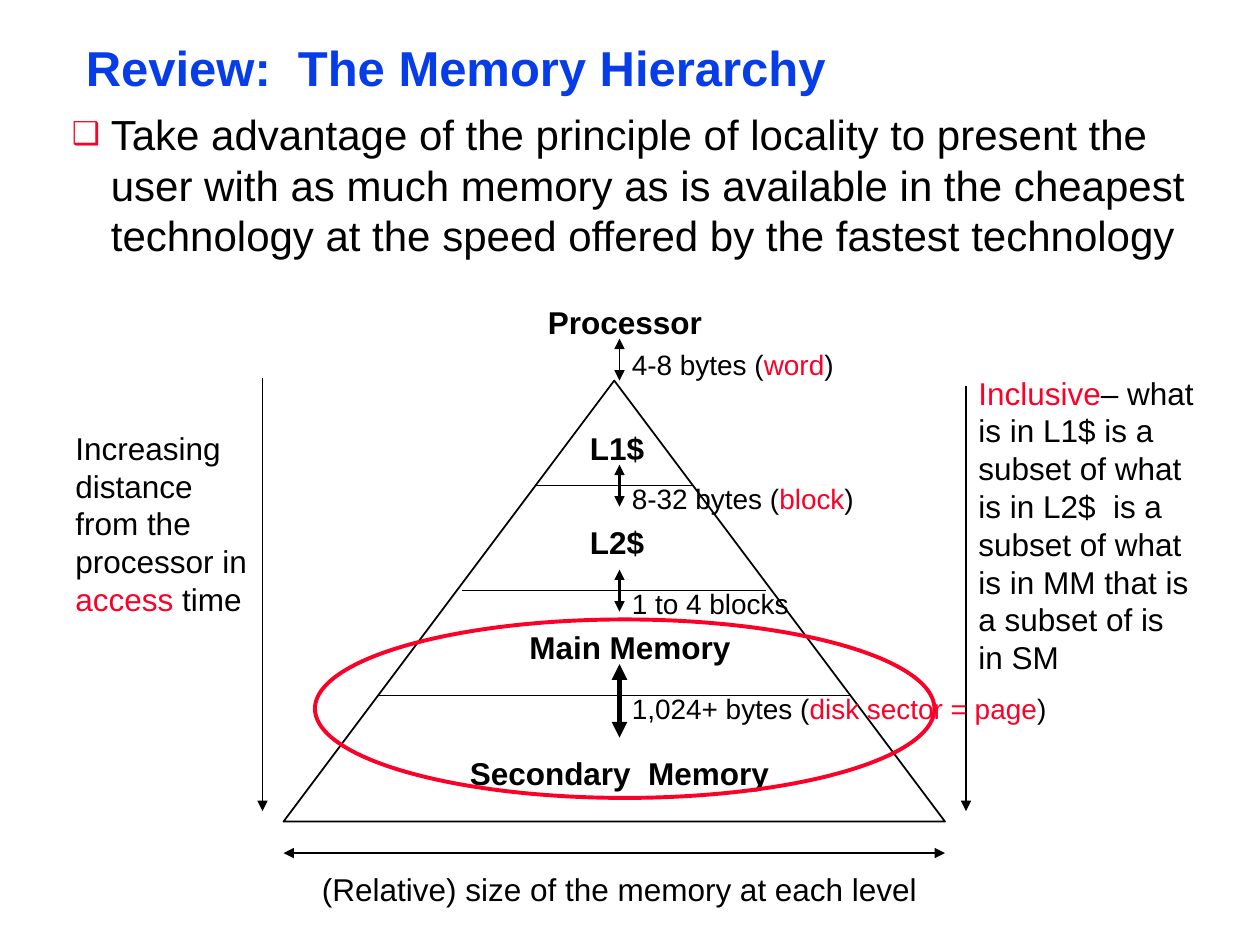
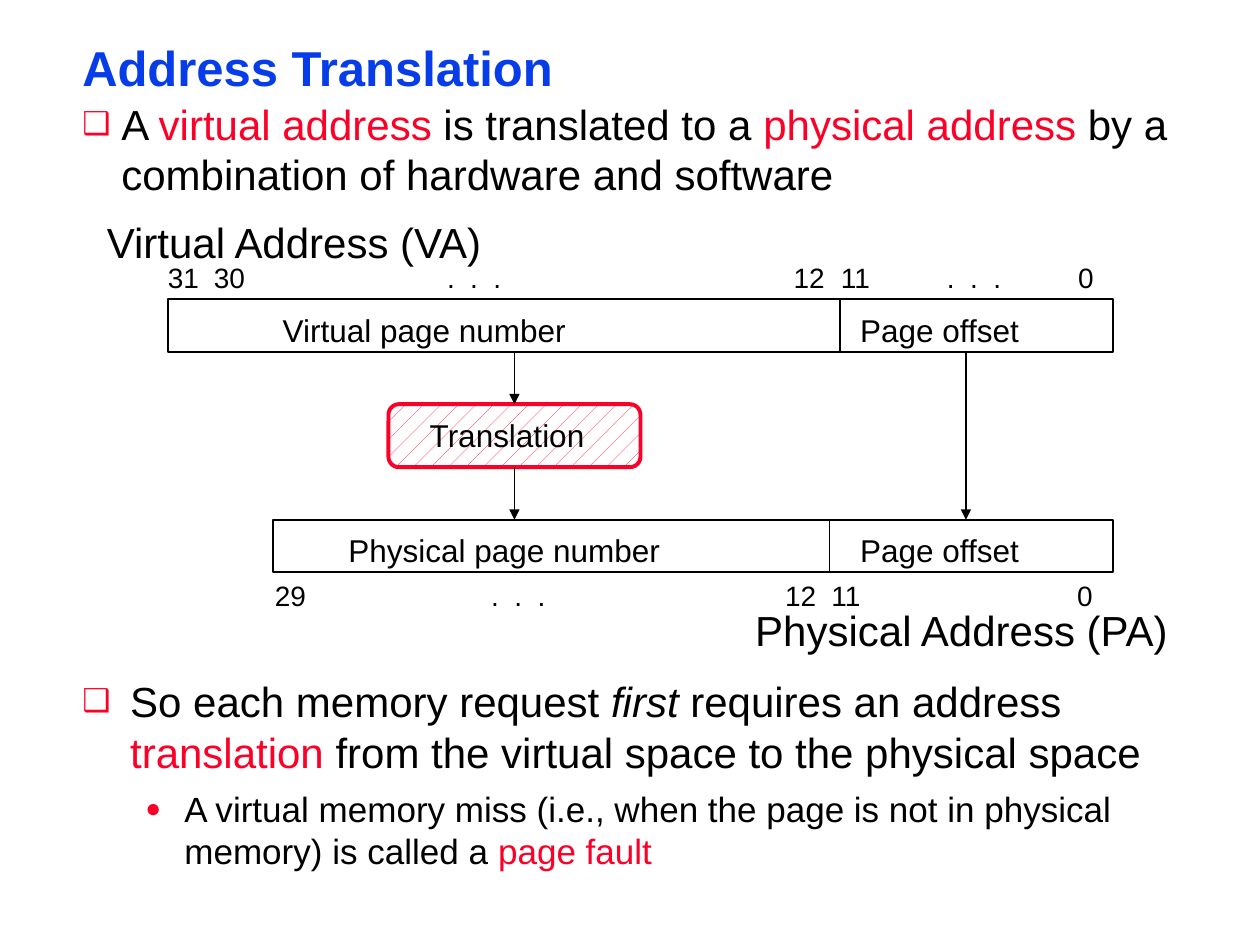
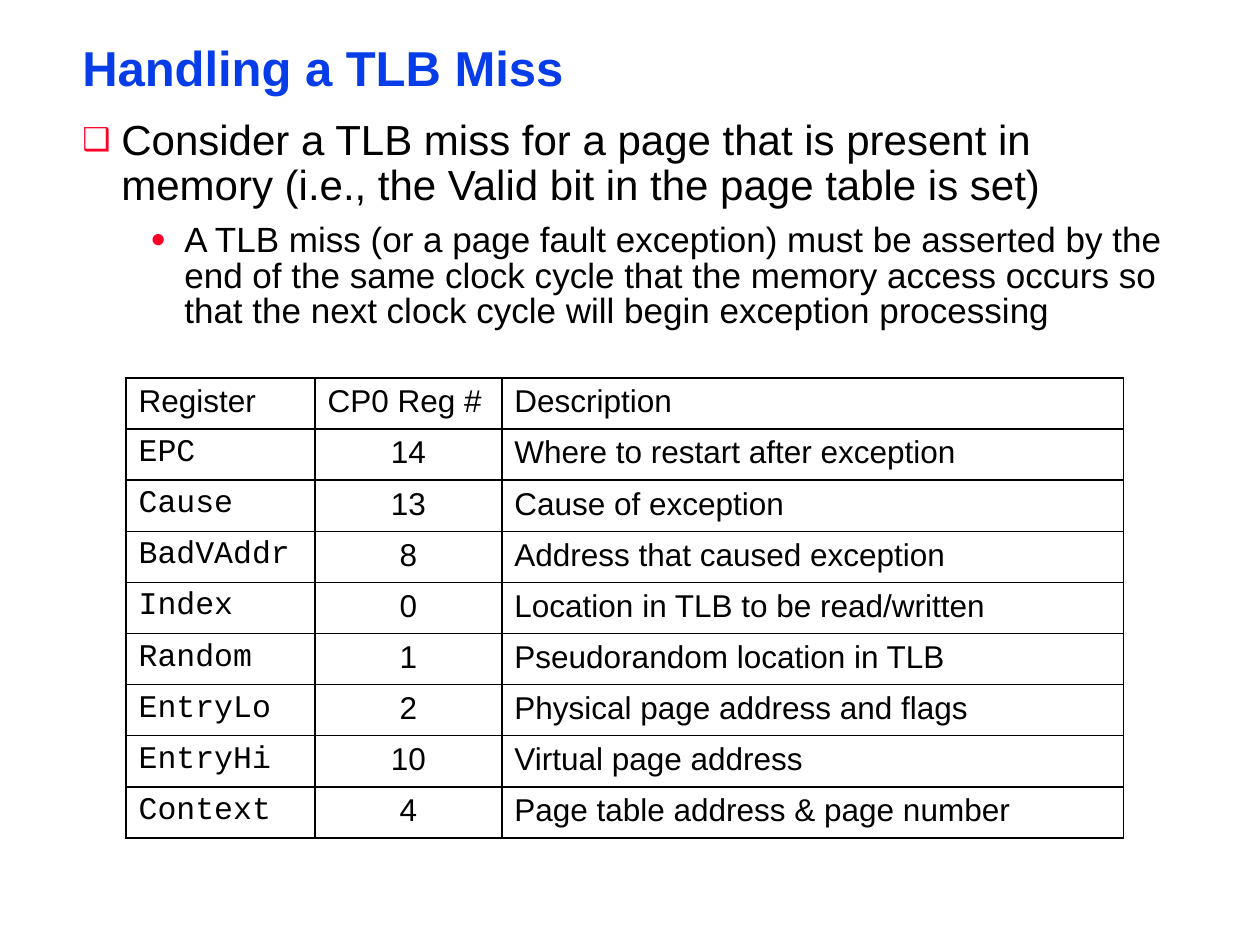
from dataclasses import dataclass
from typing import NamedTuple

from lxml import etree
from pptx import Presentation
from pptx import util as u
from pptx.dml import color
from pptx.enum import dml, shapes, text
from pptx.oxml import ns

# Grid: 120 columns by 90 rows over the slide
WIDTH, HEIGHT = u.Inches(10), u.Inches(7.5)
COLUMNS, ROWS = 120, 90


@dataclass(frozen=True)
class Theme:
    ink: str = "000000"
    paper: str = "FFFFFF"
    accent: str = "FC0128"
    heading: str = "063DE8"
    sans: str = "Arial"
    mono: str = "Courier New"
    title: int = 28
    body: int = 24
    detail: int = 20
    label: int = 18
    small: int = 16
    thin: float = 1
    medium: float = 1.5
    outline: float = 2.25
    thick: float = 3


THEME = Theme()
WIDE_INSET = (0.1, 0.05)
NARROW_INSET = (0.07, 0.03)


class Box(NamedTuple):
    left: float
    top: float
    width: float
    height: float


class Run(NamedTuple):
    text: str
    accent: bool = False
    italic: bool = False


class Bullet(NamedTuple):
    symbol: str
    size: int
    margin: float
    hanging: float


class Label(NamedTuple):
    content: str | list
    box: Box
    size: int = THEME.label
    bold: bool = False
    centred: bool = False


class Arrow(NamedTuple):
    start: tuple
    end: tuple
    width: float = THEME.thin
    head: bool = False
    tail: bool = True


class Bit(NamedTuple):
    column: float
    text: str


@dataclass(frozen=True)
class AddressBar:
    box: Box
    divider: float
    page_label: Label
    name: Label
    bits: list
    bits_row: float


SQUARE = Bullet("❑", THEME.body, 0.31, 0.31)
WIDE_SQUARE = SQUARE._replace(margin=0.38, hanging=0.38)
DOT = Bullet("●", THEME.detail, 0.81, 0.31)
TIGHT_DOT = DOT._replace(hanging=0.27)


# Shared drawing functions
def across(columns: float) -> int:
    return round(WIDTH * columns / COLUMNS)


def down(rows: float) -> int:
    return round(HEIGHT * rows / ROWS)


def place(box: Box) -> tuple:
    return across(box.left), down(box.top), across(box.width), down(box.height)


def rgb(value: str) -> color.RGBColor:
    return color.RGBColor.from_string(value)


def accent(words: str) -> Run:
    return Run(words, accent=True)


def add_element(parent, tag: str, **attributes):
    return etree.SubElement(parent, ns.qn(tag), {key: str(value) for key, value in attributes.items()})


def write(paragraph, content, *, size, font=THEME.sans, ink=THEME.ink, bold=False,
          centred=False, bullet=None, tabs=(), line_spacing=None, space_before=0):
    """Write one paragraph; content is a string or a list of strings and runs."""
    properties = paragraph._p.get_or_add_pPr()
    if bullet:
        properties.set("marL", str(u.Inches(bullet.margin)))
        properties.set("indent", str(-u.Inches(bullet.hanging)))
        add_element(add_element(properties, "a:buClr"), "a:srgbClr", val=THEME.accent)
        add_element(properties, "a:buSzPct", val=75000)
        add_element(properties, "a:buFont", typeface=THEME.sans)
        add_element(properties, "a:buChar", char=bullet.symbol)
    if tabs:
        tab_list = add_element(properties, "a:tabLst")
        for position in tabs:
            add_element(tab_list, "a:tab", pos=position, algn="l")
    paragraph.alignment = text.PP_ALIGN.CENTER if centred else text.PP_ALIGN.LEFT
    if line_spacing:
        paragraph.line_spacing = line_spacing
    if space_before:
        paragraph.space_before = u.Pt(space_before)
    for piece in [content] if isinstance(content, str) else content:
        part = Run(piece) if isinstance(piece, str) else piece
        run = paragraph.add_run()
        run.text = part.text
        run.font.name, run.font.size = font, u.Pt(size)
        run.font.bold, run.font.italic = bold, part.italic
        run.font.color.rgb = rgb(THEME.accent if part.accent else ink)


def add_frame(slide, box: Box, inset=WIDE_INSET):
    frame = slide.shapes.add_textbox(*place(box)).text_frame
    frame.word_wrap = True
    frame.margin_left = frame.margin_right = u.Inches(inset[0])
    frame.margin_top = frame.margin_bottom = u.Inches(inset[1])
    return frame


def add_title(slide, words: str, inset=NARROW_INSET) -> None:
    frame = add_frame(slide, Box(7, 4, 107, 5.5), inset)
    frame.vertical_anchor = text.MSO_ANCHOR.MIDDLE
    write(frame.paragraphs[0], words, size=THEME.title, ink=THEME.heading, bold=True, line_spacing=0.87)


def add_bullets(slide, box: Box, *items) -> None:
    """Each item is content, bullet, line spacing and space before."""
    frame = add_frame(slide, box, NARROW_INSET)
    for index, (content, bullet, spacing, before) in enumerate(items):
        paragraph = frame.add_paragraph() if index else frame.paragraphs[0]
        write(paragraph, content, size=bullet.size, bullet=bullet, line_spacing=spacing, space_before=before)


def add_label(slide, label: Label) -> None:
    frame = add_frame(slide, label.box)
    write(frame.paragraphs[0], label.content, size=label.size, bold=label.bold, centred=label.centred)


def add_outline(slide, kind, box: Box, ink=THEME.ink, width=THEME.thin):
    shape = slide.shapes.add_shape(kind, *place(box))
    shape.shadow.inherit = False
    shape.fill.background()
    shape.line.color.rgb, shape.line.width = rgb(ink), u.Pt(width)
    return shape


def add_line(slide, arrow: Arrow) -> None:
    (left, top), (right, bottom) = arrow.start, arrow.end
    connector = slide.shapes.add_connector(
        shapes.MSO_CONNECTOR.STRAIGHT, across(left), down(top), across(right), down(bottom))
    connector.line.color.rgb, connector.line.width = rgb(THEME.ink), u.Pt(arrow.width)
    line = connector.line._get_or_add_ln()
    for tag, shown in (("a:headEnd", arrow.head), ("a:tailEnd", arrow.tail)):
        if shown:
            add_element(line, tag, type="triangle", w="med", len="med")
    add_element(connector._element.spPr, "a:effectLst")


# Slide 1: memory pyramid
def add_level(words: str, left: float, top: float, width: float, centred=True) -> Label:
    return Label(words, Box(left, top, width, 4.75), bold=True, centred=centred)


def add_transfer(content, top: float, width: float) -> Label:
    return Label(content, Box(59, top, width, 4.5), THEME.small)


def build_hierarchy(slide) -> None:
    add_title(slide, "Review:  The Memory Hierarchy", WIDE_INSET)
    add_bullets(slide, Box(6, 10, 110, 15), (
        "Take advantage of the principle of locality to present the user with as much memory as is "
        "available in the cheapest technology at the speed offered by the fastest technology",
        SQUARE, None, 0))

    add_outline(slide, shapes.MSO_SHAPE.ISOSCELES_TRIANGLE, Box(27, 36.25, 63, 42))
    for row, left, right in ((46.25, 51, 66), (56.25, 44, 73), (66.25, 36, 81)):
        add_line(slide, Arrow((left, row), (right, row), tail=False))

    # Axes, then transfers between levels
    axes = [
        Arrow((25, 36), (25, 77.25)),
        Arrow((92, 36.75), (92, 77.25)),
        Arrow((27, 81.25), (90, 81.25), head=True),
    ]
    transfers = [
        Arrow((59, top), (59, top + length), width, head=True)
        for top, length, width in (
            (32.25, 4, THEME.thin), (44.25, 4, THEME.medium),
            (54.25, 4, THEME.medium), (63.25, 7, THEME.thick))
    ]
    for arrow in axes + transfers:
        add_line(slide, arrow)

    labels = [
        add_level("Processor", 51, 28.25, 18, centred=False),
        add_level("L1$", 55, 40.25, 11, centred=False),
        add_level("L2$", 55, 49.25, 11, centred=False),
        add_level("Main Memory", 44, 59.25, 32),
        add_level("Secondary  Memory", 39, 71.25, 40),
        add_transfer(["4-8 bytes (", accent("word"), ")"], 32.5, 22.5),
        add_transfer(["8-32 bytes (", accent("block"), ")"], 45.25, 24),
        add_transfer("1 to 4 blocks", 55.25, 21),
        add_transfer(["1,024+ bytes (", accent("disk sector = page"), ")"], 65.25, 43),
        Label(["Increasing distance from the processor in ", accent("access"), " time"],
              Box(6, 40.25, 19, 19.25)),
        Label([accent("Inclusive"), "– what is in L1$ is a subset of what is in L2$  is a subset "
               "of what is in MM that is a subset of is in SM"], Box(92, 35, 23, 30)),
        Label("(Relative) size of the memory at each level", Box(28, 82.25, 62, 4.75), centred=True),
    ]
    for label in labels:
        add_label(slide, label)

    add_outline(slide, shapes.MSO_SHAPE.OVAL, Box(30, 59, 59, 17), THEME.accent, THEME.outline)


# Slide 2: address bars and the translation between them
DOTS = ".  .  ."
VIRTUAL = AddressBar(
    Box(16, 28.5, 90, 5), 80,
    Label("Virtual page number", Box(25.75, 29, 30.5, 4.75)),
    Label("Virtual Address (VA)", Box(9, 20, 39.5, 6), THEME.body),
    [Bit(16, "31"), Bit(20.4, "30"), Bit(42.6, DOTS), Bit(75.6, "12"),
     Bit(80.1, "11"), Bit(90.2, DOTS), Bit(102.7, "0")], 24.25)
PHYSICAL = AddressBar(
    Box(26, 49.5, 80, 5), 79,
    Label("Physical page number", Box(32, 50, 33, 4.75)),
    Label("Physical Address (PA)", Box(70.75, 57, 43, 6), THEME.body),
    [Bit(26.2, "29"), Bit(46.8, DOTS), Bit(74.8, "12"), Bit(79.2, "11"), Bit(102.6, "0")], 54.5)


def add_address_bar(slide, bar: AddressBar) -> None:
    top, bottom = bar.box.top, bar.box.top + bar.box.height
    add_outline(slide, shapes.MSO_SHAPE.RECTANGLE, bar.box)
    add_line(slide, Arrow((bar.divider, top), (bar.divider, bottom), tail=False))
    offset_label = Label("Page offset", Box(80.75, top + 0.5, 18.5, 4.75))
    for label in (bar.page_label, offset_label, bar.name):
        add_label(slide, label)

    # Bit numbers stand on tab stops
    first = bar.bits[0].column
    left = first - 1.2
    frame = add_frame(slide, Box(left, bar.bits_row, 107 - left, 4.5))
    write(frame.paragraphs[0], "\t".join(bit.text for bit in bar.bits), size=THEME.small,
          tabs=[across(bit.column - first) for bit in bar.bits[1:]])


def build_translation(slide) -> None:
    add_title(slide, "Address Translation")
    add_bullets(slide, Box(7, 9, 107, 10.25), (
        ["A ", accent("virtual address"), " is translated to a ", accent("physical address"),
         " by a combination of hardware and software"], SQUARE, None, 0))
    for bar in (VIRTUAL, PHYSICAL):
        add_address_bar(slide, bar)

    translator = add_outline(slide, shapes.MSO_SHAPE.FLOWCHART_ALTERNATE_PROCESS,
                             Box(37, 38.5, 24, 6), THEME.accent, THEME.outline)
    translator.fill.patterned()
    translator.fill.pattern = dml.MSO_PATTERN.PERCENT_5
    translator.fill.fore_color.rgb = rgb(THEME.accent)
    translator.fill.back_color.rgb = rgb(THEME.paper)
    add_label(slide, Label("Translation", Box(39.75, 39, 18, 4.75)))
    for column, start, end in ((49, 33.5, 38.5), (49, 44.5, 49.5), (92, 33.5, 49.5)):
        add_line(slide, Arrow((column, start), (column, end)))

    add_bullets(
        slide, Box(7, 64, 107, 19.5),
        (["So each memory request ", Run("first", italic=True), " requires an address ",
          accent("translation"), " from the virtual space to the physical space"], WIDE_SQUARE, None, 0),
        (["A virtual memory miss (i.e., when the page is not in physical memory) is called a ",
          accent("page fault")], DOT, None, 6))


# Slide 3: register table
REGISTERS = [
    ("Register", "CP0 Reg #", "Description"),
    ("EPC", "14", "Where to restart after exception"),
    ("Cause", "13", "Cause of exception"),
    ("BadVAddr", "8", "Address that caused exception"),
    ("Index", "0", "Location in TLB to be read/written"),
    ("Random", "1", "Pseudorandom location in TLB"),
    ("EntryLo", "2", "Physical page address and flags"),
    ("EntryHi", "10", "Virtual page address"),
    ("Context", "4", "Page table address & page number"),
]
REGISTER_COLUMNS = (18, 17.8, 59.2)


def add_borders(cell) -> None:
    properties = cell._tc.get_or_add_tcPr()
    for index, side in enumerate("LRTB"):
        line = etree.Element(ns.qn(f"a:ln{side}"), {"w": str(u.Pt(THEME.thin))})
        add_element(add_element(line, "a:solidFill"), "a:srgbClr", val=THEME.ink)
        properties.insert(index, line)


def add_register_table(slide) -> None:
    box = Box(12, 36, sum(REGISTER_COLUMNS), 43.8)
    table = slide.shapes.add_table(len(REGISTERS), len(REGISTER_COLUMNS), *place(box)).table
    table.first_row = table.horz_banding = False
    for column, width in zip(table.columns, REGISTER_COLUMNS):
        column.width = across(width)
    for row, values in enumerate(REGISTERS):
        for column, value in enumerate(values):
            cell = table.cell(row, column)
            cell.fill.background()
            add_borders(cell)
            write(cell.text_frame.paragraphs[0], value, size=THEME.label,
                  font=THEME.mono if row and column == 0 else THEME.sans,
                  centred=row > 0 and column == 1)


def build_miss_handling(slide) -> None:
    add_title(slide, "Handling a TLB Miss")
    add_bullets(
        slide, Box(7, 11, 107, 21.25),
        ("Consider a TLB miss for a page that is present in memory (i.e., the Valid bit in the "
         "page table is set)", SQUARE, 0.9, 0),
        ("A TLB miss (or a page fault exception) must be asserted by the end of the same clock cycle "
         "that the memory access occurs so that the next clock cycle will begin exception processing",
         TIGHT_DOT, 0.85, 8))
    add_register_table(slide)


def main() -> None:
    presentation = Presentation()
    presentation.slide_width, presentation.slide_height = WIDTH, HEIGHT
    for build in (build_hierarchy, build_translation, build_miss_handling):
        build(presentation.slides.add_slide(presentation.slide_layouts[6]))
    presentation.save("out.pptx")


if __name__ == "__main__":
    main()
